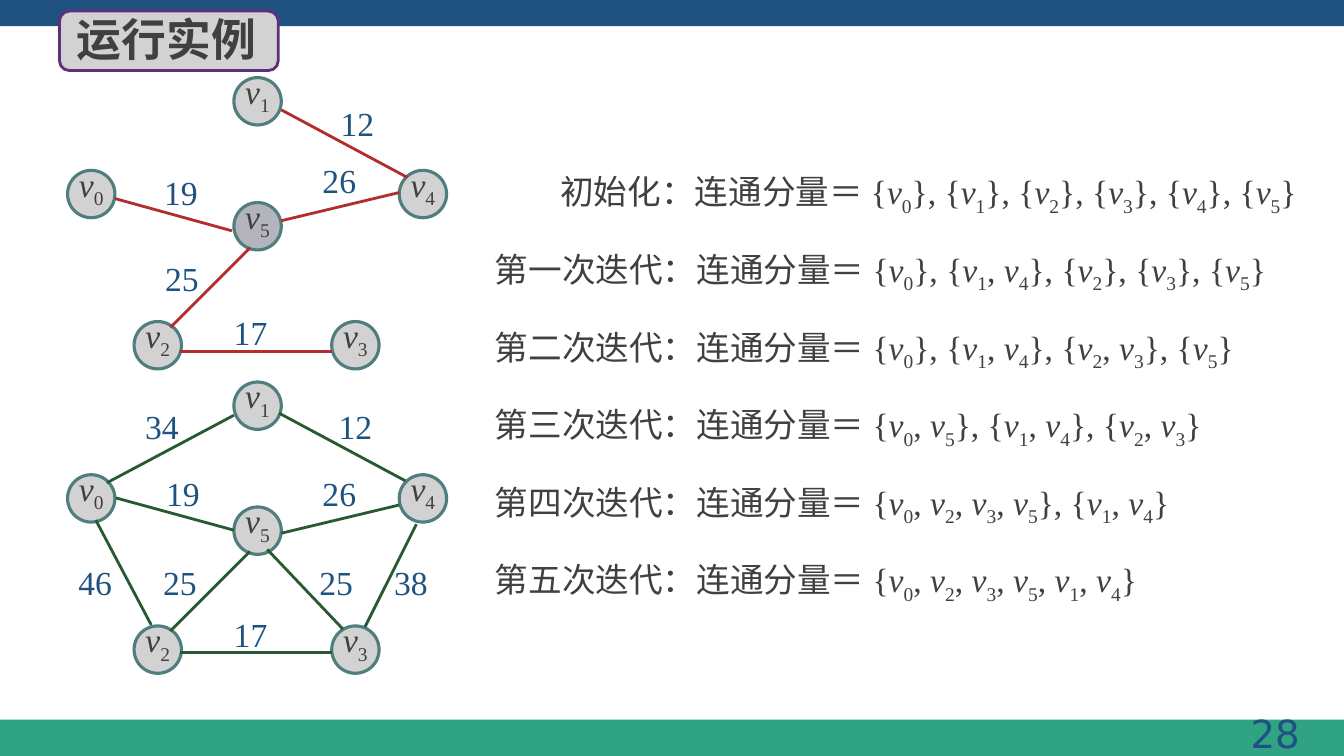
from lxml import etree
from pptx import Presentation
from pptx.dml.color import RGBColor
from pptx.enum.shapes import MSO_CONNECTOR, MSO_SHAPE
from pptx.enum.text import MSO_ANCHOR, MSO_AUTO_SIZE, PP_ALIGN
from pptx.oxml.ns import qn
from pptx.util import Inches, Pt

RECT, ROUNDED, OVAL = MSO_SHAPE.RECTANGLE, MSO_SHAPE.ROUNDED_RECTANGLE, MSO_SHAPE.OVAL
STRAIGHT = MSO_CONNECTOR.STRAIGHT
LEFT, CENTER, RIGHT = PP_ALIGN.LEFT, PP_ALIGN.CENTER, PP_ALIGN.RIGHT
TOP, MIDDLE = MSO_ANCHOR.TOP, MSO_ANCHOR.MIDDLE
NO_AUTOFIT = MSO_AUTO_SIZE.NONE

NODE_SIZE = 0.47
NODES = [(0.67, 0.92), (2.32, 0), (1.33, 2.42), (3.29, 2.42), (3.96, 0.92), (2.32, 1.24)]

# weight, line start, line end, label position
TREE_EDGES = [
    ("12", (4.04, 1.76), (2.79, 1.09), (3.28, 0.97)),
    ("17", (1.79, 3.49), (3.29, 3.49), (2.22, 3.05)),
    ("25", (2.48, 2.46), (1.69, 3.25), (1.54, 2.51)),
    ("26", (3.96, 1.91), (2.79, 2.19), (3.10, 1.54)),
    ("19", (2.30, 2.29), (1.14, 1.97), (1.53, 1.66)),
]
GRAPH_EDGES = [
    ("34", (2.32, 4.12), (1.06, 4.79), (1.34, 3.98)),
    ("12", (4.02, 4.77), (2.77, 4.10), (3.26, 3.98)),
    ("19", (2.32, 5.26), (1.15, 4.94), (1.55, 4.64)),
    ("26", (3.96, 5.01), (2.79, 5.29), (3.10, 4.64)),
    ("25", (2.48, 5.47), (1.69, 6.26), (1.52, 5.53)),
    ("25", (3.40, 6.24), (2.65, 5.45), (3.07, 5.53)),
    ("46", (1.50, 6.20), (0.95, 5.16), (0.68, 5.53)),
    ("38", (4.13, 5.20), (3.62, 6.22), (3.81, 5.53)),
    ("17", (1.79, 6.47), (3.29, 6.47), (2.22, 6.04)),
]
STEPS = [
    ("初始化", 5.46, ["0", "1", "2", "3", "4", "5"]),
    ("第一次迭代", 4.81, ["0", "14", "2", "3", "5"]),
    ("第二次迭代", 4.81, ["0", "14", "23", "5"]),
    ("第三次迭代", 4.81, ["05", "14", "23"]),
    ("第四次迭代", 4.81, ["0235", "14"]),
    ("第五次迭代", 4.81, ["023514"]),
]


def rgb(value):
    return RGBColor.from_string(value)


class Deck:
    navy, green, grey, ink = "1F5281", "30A383", "D2D2D2", "404040"
    serif, sans, number = "Times New Roman", "Noto Sans CJK SC", "DejaVu Sans"

    def __init__(self):
        self.prs = Presentation()
        self.prs.slide_width, self.prs.slide_height = Inches(13.33), Inches(7.5)
        self.s = self.prs.slides.add_slide(self.prs.slide_layouts[5])

    def format(self, r, size=24, color=ink, font=serif):
        r.font.size, r.font.name = Pt(size), font
        r.font.color.rgb = rgb(color)
        ea = etree.SubElement(r.font._element, qn("a:ea"))
        ea.set("typeface", self.sans)

    def add_runs(self, p, parts):
        for text, kind in parts:
            r = p.add_run()
            r.text = text
            self.format(r)
            r.font.italic = kind == "variable"
            if kind == "index":
                r.font._element.set("baseline", "-25000")

    def vertex(self, index):
        return [("v", "variable"), (index, "index")]

    def shape(self, kind, x, y, w, h, fill, line=None, width=2):
        sp = self.s.shapes.add_shape(kind, Inches(x), Inches(y), Inches(w), Inches(h))
        sp.shadow.inherit = False
        sp.fill.solid()
        sp.fill.fore_color.rgb = rgb(fill)
        if line:
            sp.line.color.rgb = rgb(line)
            sp.line.width = Pt(width)
        else:
            sp.line.fill.background()
        return sp

    def textbox(self, x, y, w, h):
        sp = self.s.shapes.add_textbox(Inches(x), Inches(y), Inches(w), Inches(h))
        sp.text_frame.word_wrap = True
        return sp.text_frame.paragraphs[0]

    def label(self, text, x, y, w, h, size=24, font=serif, align=LEFT):
        p = self.textbox(x, y, w, h)
        p.text, p.alignment = text, align
        self.format(p.runs[0], size, self.navy, font)

    def title(self, text, x, y, w, h):
        sp = self.s.shapes.title
        sp.left, sp.top, sp.width, sp.height = Inches(x), Inches(y), Inches(w), Inches(h)
        tf = sp.text_frame
        tf.text = text
        tf.auto_size, tf.vertical_anchor, tf.word_wrap = NO_AUTOFIT, TOP, True
        p = tf.paragraphs[0]
        p.alignment = LEFT
        self.format(p.runs[0], 32, font=self.sans)
        p.runs[0].font.bold = True
        self.s.shapes._spTree.append(sp._element)

    def node(self, index, x, y, fill):
        sp = self.shape(OVAL, x, y, NODE_SIZE, NODE_SIZE, fill, "507D7D", 2.25)
        tf = sp.text_frame
        tf.margin_left = tf.margin_right = tf.margin_top = tf.margin_bottom = 0
        tf.vertical_anchor = MIDDLE
        p = tf.paragraphs[0]
        p.alignment, p.line_spacing = CENTER, Pt(22)
        self.add_runs(p, self.vertex(str(index)))

    def edge(self, start, end, color):
        c = self.s.shapes.add_connector(STRAIGHT, *[Inches(v) for v in start + end])
        c.line.color.rgb, c.line.width = rgb(color), Pt(2)
        etree.SubElement(c._element.spPr, qn("a:effectLst"))

    def graph(self, top, edges, color, center_fill):
        for i, (x, y) in enumerate(NODES):
            self.node(i, x, top + y, center_fill if i == 5 else self.grey)
        for weight, start, end, spot in edges:
            self.edge(start, end, color)
            self.label(weight, *spot, 0.66, 0.5)

    def step(self, name, x, y, components):
        parts = [(f"{name}：连通分量＝{{", "plain")]
        for i, component in enumerate(components):
            if i:
                parts.append(("}, {", "plain"))
            for j, index in enumerate(component):
                if j:
                    parts.append((", ", "plain"))
                parts += self.vertex(index)
        parts.append(("}", "plain"))
        self.add_runs(self.textbox(x, y, 7.87, 0.51), parts)


def main():
    deck = Deck()
    deck.shape(RECT, 0, 7.14, 13.33, 0.36, deck.green)
    deck.shape(RECT, 0, 0, 13.33, 0.26, deck.navy)
    deck.label("28", 10.05, 6.99, 2.94, 0.57, 27.6, deck.number, RIGHT)
    deck.graph(3.79, GRAPH_EDGES, "285A32", deck.grey)
    deck.graph(0.77, TREE_EDGES, "B42D2D", "B4B4BE")
    for i, (name, x, components) in enumerate(STEPS):
        deck.step(name, x, 1.65 + 0.77 * i, components)
    deck.shape(ROUNDED, 0.59, 0.11, 2.17, 0.59, deck.grey, "5C307D")
    deck.title("运行实例", 0.66, 0.07, 2.12, 0.64)
    deck.prs.save("out.pptx")


if __name__ == "__main__":
    main()
